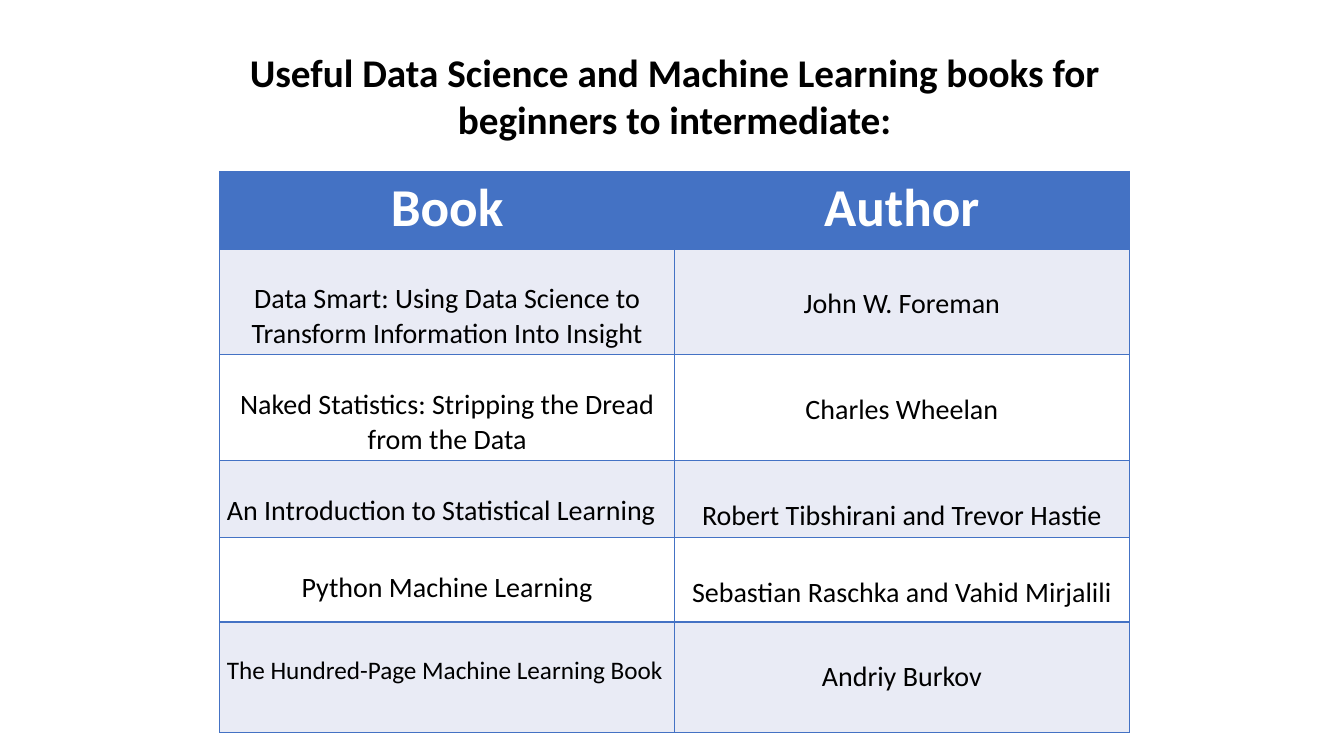
from lxml import etree
from pptx import Presentation
from pptx import util as u
from pptx.dml.color import RGBColor
from pptx.enum import text
from pptx.oxml.ns import qn

HEADING = "Useful Data Science and Machine Learning books for beginners to intermediate:"
COLUMNS = ("Book", "Author")
CENTER, LEFT = text.PP_ALIGN.CENTER, text.PP_ALIGN.LEFT
# book, author, book alignment, book text size, row height
BOOKS = [
    ("Data Smart: Using Data Science to Transform Information Into Insight",
     "John W. Foreman", CENTER, 20, 1.04),
    ("Naked Statistics: Stripping the Dread from the Data",
     "Charles Wheelan", CENTER, 20, 1.04),
    ("An Introduction to Statistical Learning",
     "Robert Tibshirani and Trevor Hastie", LEFT, 20, 0.76),
    ("Python Machine Learning",
     "Sebastian Raschka and Vahid Mirjalili", CENTER, 20, 0.84),
    ("The Hundred-Page Machine Learning Book",
     "Andriy Burkov", LEFT, 18, 1.10),
]
BLUE, BAND, WHITE, BLACK = "4472C4", "E9EBF5", "FFFFFF", "000000"
LEFT_EDGE, WIDTH = 2.18, 9.02
HEADING_TOP, HEADING_HEIGHT = 0.43, 1.04
TABLE_TOP, HEADER_HEIGHT = 1.7, 0.77
SIDE_INSET, EDGE_INSET = 0.07, 0.04
BOOK_INSET, AUTHOR_INSET = 0.33, 0.38


def color(value):
    return RGBColor.from_string(value)


def write(frame, words, size, ink, bold, align):
    paragraph = frame.paragraphs[0]
    paragraph.alignment = align
    run = paragraph.add_run()
    run.text = words
    look = {"size": u.Pt(size), "name": "Calibri", "bold": bold}
    for key, value in look.items():
        setattr(run.font, key, value)
    run.font.color.rgb = color(ink)


def add_borders(cell):
    properties = cell._tc.get_or_add_tcPr()
    for side in ("lnL", "lnR", "lnT", "lnB"):
        line = etree.SubElement(properties, qn("a:" + side), w=str(u.Pt(1)))
        fill = etree.SubElement(line, qn("a:solidFill"))
        etree.SubElement(fill, qn("a:srgbClr"), val=BLUE)


def fill_cell(cell, words, size, ink, bold, align, top_inset, back):
    insets = {"margin_left": SIDE_INSET, "margin_right": SIDE_INSET,
              "margin_top": top_inset, "margin_bottom": EDGE_INSET}
    for key, value in insets.items():
        setattr(cell, key, u.Inches(value))
    add_borders(cell)
    cell.fill.solid()
    cell.fill.fore_color.rgb = color(back)
    write(cell.text_frame, words, size, ink, bold, align)


def main():
    deck = Presentation()
    deck.slide_width, deck.slide_height = u.Inches(13.33), u.Inches(7.5)
    slide = deck.slides.add_slide(deck.slide_layouts[5])

    # Heading
    heading = slide.shapes.title
    place = {"left": LEFT_EDGE, "top": HEADING_TOP,
             "width": WIDTH, "height": HEADING_HEIGHT}
    for key, value in place.items():
        setattr(heading, key, u.Inches(value))
    frame_look = {"word_wrap": True, "auto_size": text.MSO_AUTO_SIZE.NONE,
                  "vertical_anchor": text.MSO_ANCHOR.TOP}
    for key, value in frame_look.items():
        setattr(heading.text_frame, key, value)
    write(heading.text_frame, HEADING, 28, BLACK, True, CENTER)

    # Table grid
    heights = [HEADER_HEIGHT] + [book[-1] for book in BOOKS]
    reading_list = slide.shapes.add_table(
        len(heights), len(COLUMNS), u.Inches(LEFT_EDGE), u.Inches(TABLE_TOP),
        u.Inches(WIDTH), u.Inches(sum(heights))).table
    for row, height in zip(reading_list.rows, heights):
        row.height = u.Inches(height)

    # Header row
    for column, label in enumerate(COLUMNS):
        fill_cell(reading_list.cell(0, column), label, 38, WHITE, True,
                  CENTER, EDGE_INSET, BLUE)

    # Book rows
    for row, (book, author, align, size, _) in enumerate(BOOKS, 1):
        back = BAND if row % 2 else WHITE
        fill_cell(reading_list.cell(row, 0), book, size, BLACK, False,
                  align, BOOK_INSET, back)
        fill_cell(reading_list.cell(row, 1), author, 20, BLACK, False,
                  CENTER, AUTHOR_INSET, back)

    deck.save("out.pptx")


if __name__ == "__main__":
    main()
